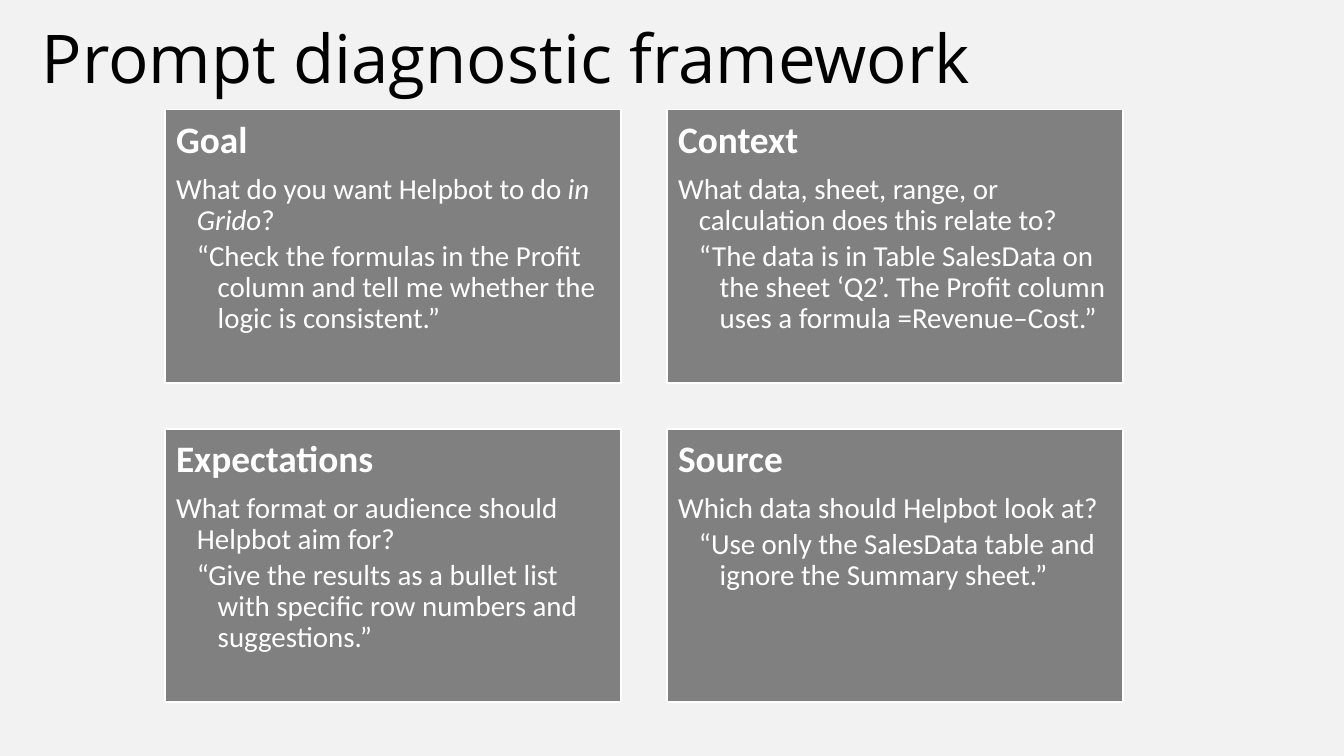
import pptx
import pptx.dml.color
import pptx.enum.shapes
import pptx.enum.text
import pptx.util
from dataclasses import dataclass

Inches, Pt = pptx.util.Inches, pptx.util.Pt
RGB = pptx.dml.color.RGBColor.from_string
ALIGN = pptx.enum.text.PP_ALIGN
ANCHOR = pptx.enum.text.MSO_ANCHOR


@dataclass(frozen=True)
class Theme:
    background: str = "F2F2F2"
    ink: str = "000000"
    card: str = "808080"
    on_card: str = "FFFFFF"
    title_font: str = "Open Sans"
    card_font: str = "Calibri"
    title_size: float = 72
    heading_size: float = 40
    body_size: float = 31
    heading_gap: float = 14
    body_gap: float = 4.5
    hanging: float = 0.31
    card_inset: float = 0.17


class Deck:
    def __init__(self, theme, slide):
        self.theme, self.slide = theme, slide
        fill = slide.background.fill
        fill.solid()
        fill.fore_color.rgb = RGB(theme.background)

    def run(self, p, text, font, size, color, bold=False, italic=False):
        r = p.add_run()
        r.text = text
        r.font.name, r.font.size = font, Pt(size)
        r.font.bold, r.font.italic = bold, italic
        r.font.color.rgb = RGB(color)

    def title(self, text, left, top, width, height):
        t = self.theme
        sp = self.slide.shapes.title
        sp.left, sp.top = Inches(left), Inches(top)
        sp.width, sp.height = Inches(width), Inches(height)
        tf = sp.text_frame
        tf.word_wrap = True
        tf.auto_size = pptx.enum.text.MSO_AUTO_SIZE.NONE
        tf.vertical_anchor = ANCHOR.MIDDLE
        tf.margin_left = tf.margin_right = Inches(0.05)
        tf.margin_top = tf.margin_bottom = 0
        p = tf.paragraphs[0]
        p.alignment, p.line_spacing = ALIGN.LEFT, 1.0
        self.run(p, text, t.title_font, t.title_size, t.ink)

    def paragraph(self, p, runs, level):
        """Level 0 is the bold heading; deeper levels have a hanging indent."""
        t = self.theme
        heading = level == 0
        p.alignment, p.level, p.line_spacing = ALIGN.LEFT, level, 0.9
        p.space_after = Pt(t.heading_gap if heading else t.body_gap)
        if not heading:
            pPr = p._p.get_or_add_pPr()
            pPr.set("marL", str(Inches(t.hanging * level)))
            pPr.set("indent", str(-Inches(t.hanging)))
        size = t.heading_size if heading else t.body_size
        for text, italic in runs:
            self.run(p, text, t.card_font, size, t.on_card, heading, italic)

    def card(self, paragraphs, left, top, width, height):
        t = self.theme
        sp = self.slide.shapes.add_shape(
            pptx.enum.shapes.MSO_SHAPE.RECTANGLE,
            Inches(left), Inches(top), Inches(width), Inches(height))
        sp.shadow.inherit = False
        sp.fill.solid()
        sp.fill.fore_color.rgb = RGB(t.card)
        sp.line.color.rgb = RGB(t.on_card)
        sp.line.width = Pt(2)
        tf = sp.text_frame
        tf.word_wrap = True
        tf.vertical_anchor = ANCHOR.TOP
        tf.margin_left = tf.margin_right = Inches(t.card_inset)
        tf.margin_top = tf.margin_bottom = Inches(t.card_inset)
        for level, runs in enumerate(paragraphs):
            p = tf.add_paragraph() if level else tf.paragraphs[0]
            self.paragraph(p, runs, level)


# Each card: heading, question, example; each run is (text, italic)
CARDS = [
    [[("Goal", False)],
     [("What do you want Helpbot to do ", False), ("in Grido", True), ("?", False)],
     [("“Check the formulas in the Profit column and tell me whether the "
       "logic is consistent.”", False)]],
    [[("Context", False)],
     [("What data, sheet, range, or calculation does this relate to?", False)],
     [("“The data is in Table SalesData on the sheet ‘Q2’. The Profit column "
       "uses a formula =Revenue–Cost.”", False)]],
    [[("Expectations", False)],
     [("What format or audience should Helpbot aim for?", False)],
     [("“Give the results as a bullet list with specific row numbers and "
       "suggestions.”", False)]],
    [[("Source", False)],
     [("Which data should Helpbot look at?", False)],
     [("“Use only the SalesData table and ignore the Summary sheet.”", False)]],
]


def main():
    prs = pptx.Presentation()
    prs.slide_width, prs.slide_height = Inches(20), Inches(11.25)
    title_only = prs.slide_layouts[5]
    deck = Deck(Theme(), prs.slides.add_slide(title_only))

    # Title
    deck.title("Prompt diagnostic framework", 0.57, 0.19, 18.51, 1.31)

    # Two-by-two grid of cards
    left, top, width, height, gap = 2.45, 1.63, 6.79, 4.07, 0.68
    for i, paragraphs in enumerate(CARDS):
        row, col = divmod(i, 2)
        deck.card(paragraphs, left + col * (width + gap),
                  top + row * (height + gap), width, height)

    prs.save("out.pptx")


if __name__ == "__main__":
    main()
